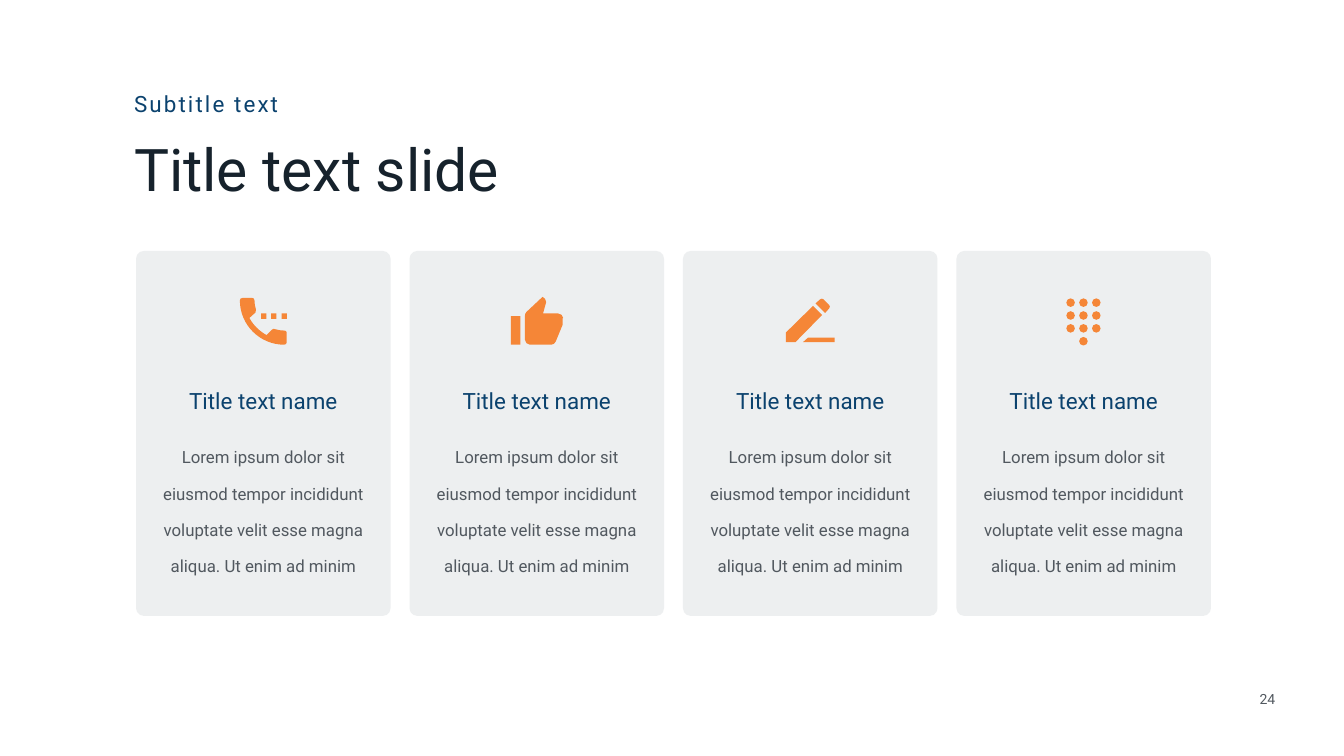
from lxml import etree
from pptx import Presentation
from pptx.dml.color import RGBColor
from pptx.enum import shapes, text
from pptx.oxml.ns import qn
from pptx.util import Inches, Pt

FONT = "Roboto"
NAVY, INK, GRAY, ORANGE, PANEL = "0B426E", "16222C", "51585F", "F58637", "DBDEE1"
PANEL_OPACITY = 48
SUBTITLE = "Subtitle text"
TITLE = "Title text slide"
PAGE_NUMBER = "24"
CARD_TITLE = "Title text name"
CARD_BODY = ("Lorem ipsum dolor sit eiusmod tempor incididunt voluptate velit esse magna "
             "aliqua. Ut enim ad minim")
CARD_LEFT, LAST_CARD_LEFT, CARD_TOP = 2.7, 18.98, 4.98
CARD_WIDTH, CARD_HEIGHT = 5.05, 7.24


def rectangle(left, top, width, height):
    right, bottom = left + width, top + height
    return [(left, top), (right, top), (right, bottom), (left, bottom)]


def circle(x, y, radius):
    bend = 0.55 * radius
    left, top, right, bottom = x - radius, y - radius, x + radius, y + radius
    return [(x, top), (x - bend, top, left, y - bend, left, y),
            (left, y + bend, x - bend, bottom, x, bottom),
            (x + bend, bottom, right, y + bend, right, y),
            (right, y - bend, x + bend, top, x, top)]


HANDSET = [(88, 65), (82, 65, 76, 64, 69, 62), (68, 60, 66, 62, 64, 63), (53, 74),
           (39, 66, 27, 55, 19, 40), (31, 29), (32, 27, 33, 25, 32, 23),
           (30, 18, 29, 11, 29, 5), (29, 2, 27, 0, 24, 0), (6, 0), (2, 0, 0, 2, 0, 5),
           (0, 54, 40, 93, 88, 93), (91, 93, 93, 91, 93, 88), (93, 69),
           (93, 66, 91, 65, 88, 65)]
HAND = [(104, 42), (104, 37, 99, 33, 94, 33), (64, 33), (70, 11), (70, 10),
        (70, 8, 69, 6, 68, 4), (63, 0), (31, 30), (29, 32, 28, 35, 28, 38), (28, 85),
        (28, 90, 33, 95, 38, 95), (80, 95), (84, 95, 88, 92, 89, 89), (103, 55),
        (103, 54, 103, 53, 103, 51), (103, 42)]
PENCIL_BODY = [(0, 67), (0, 86), (19, 86), (72, 32), (54, 14)]
PENCIL_END = [(86, 19), (88, 17, 88, 14, 86, 12), (75, 1), (73, -1, 70, -1, 68, 1),
              (59, 9), (78, 28)]
PENCIL_STROKE = [(44, 77), (34, 86), (97, 86), (97, 77)]
KEYS = [(column, row) for row in range(3) for column in range(3)] + [(1, 3)]

ICONS = [
    (2.06, 0.93, [HANDSET] + [rectangle(x, 31, 10.5, 11) for x in (42, 62, 83)]),
    (2.01, 0.91, [rectangle(0, 38, 19, 57), HAND]),
    (2.04, 0.95, [PENCIL_BODY, PENCIL_END, PENCIL_STROKE]),
    (2.18, 0.94, [circle(8.5 + 25.5 * x, 8.5 + 25.5 * y, 8.5) for x, y in KEYS]),
]


def color(value):
    return RGBColor.from_string(value)


def paint(shape, fill):
    shape.shadow.inherit = False
    shape.fill.solid()
    shape.fill.fore_color.rgb = color(fill)
    shape.line.fill.background()


def add_text(parent, box, content, size, fill, align=text.PP_ALIGN.LEFT, inset=(0.04, 0.04),
             grow=False, middle=False, line_spacing=None, tracking=None):
    frame = parent.add_textbox(*map(Inches, box)).text_frame
    frame.word_wrap = True
    frame.auto_size = text.MSO_AUTO_SIZE.SHAPE_TO_FIT_TEXT if grow else text.MSO_AUTO_SIZE.NONE
    frame.vertical_anchor = text.MSO_ANCHOR.MIDDLE if middle else text.MSO_ANCHOR.TOP
    frame.margin_left = frame.margin_right = Inches(inset[0])
    frame.margin_top = frame.margin_bottom = Inches(inset[1])
    paragraph = frame.paragraphs[0]
    paragraph.alignment = align
    paragraph.line_spacing = line_spacing
    run = paragraph.add_run()
    run.text = content
    run.font.name, run.font.size = FONT, Pt(size)
    run.font.color.rgb = color(fill)
    if tracking:
        run.font._element.set("spc", str(tracking * 100))


def add_panel(parent, left):
    panel = parent.add_shape(shapes.MSO_SHAPE.ROUNDED_RECTANGLE, Inches(left), Inches(CARD_TOP),
                             Inches(CARD_WIDTH), Inches(CARD_HEIGHT))
    panel.adjustments[0] = 0.03
    paint(panel, PANEL)
    panel_color = panel._element.spPr.find(qn("a:solidFill"))[0]
    etree.SubElement(panel_color, qn("a:alpha"), val=str(PANEL_OPACITY * 1000))


def add_icon(parent, left, top, outlines):
    outlines = [[tuple(round(10 * value) for value in segment) for segment in outline]
                for outline in outlines]
    ends = [[segment[-2:] for segment in outline] for outline in outlines]
    builder = parent.build_freeform(*ends[0][0], scale=Inches(1) / 1000)
    for index, points in enumerate(ends):
        if index:
            builder.move_to(*points[0])
        builder.add_line_segments(points[1:], close=True)
    icon = builder.convert_to_shape(Inches(left), Inches(top))
    paint(icon, ORANGE)
    min_x = min(x for points in ends for x, y in points)
    min_y = min(y for points in ends for x, y in points)
    segments = [segment for outline in outlines for segment in outline[1:]]
    lines = list(icon._element.iter(qn("a:lnTo")))
    for line, segment in zip(lines, segments):
        if len(segment) == 6:
            line.tag = qn("a:cubicBezTo")
            for position, (x, y) in enumerate((segment[:2], segment[2:4])):
                point = etree.Element(qn("a:pt"), x=str(x - min_x), y=str(y - min_y))
                line.insert(position, point)


def add_card(slide, index, icon):
    card = slide.shapes.add_group_shape().shapes
    left = CARD_LEFT + index * (LAST_CARD_LEFT - CARD_LEFT) / (len(ICONS) - 1)
    icon_x, icon_y, outlines = icon
    add_panel(card, left)
    add_icon(card, left + icon_x, CARD_TOP + icon_y, outlines)
    add_text(card, (left, 7.65, CARD_WIDTH, 0.59), CARD_TITLE, 32, NAVY, text.PP_ALIGN.CENTER)
    add_text(card, (left + 0.38, 8.5, CARD_WIDTH - 0.76, 3.01), CARD_BODY, 24, GRAY,
             text.PP_ALIGN.CENTER, inset=(0.1, 0.05), grow=True, line_spacing=1.8)


def main():
    presentation = Presentation()
    presentation.slide_width, presentation.slide_height = Inches(26.67), Inches(15)
    slide = presentation.slides.add_slide(presentation.slide_layouts[6])
    add_text(slide.shapes, (24.66, 13.66, 0.98, 0.42), PAGE_NUMBER, 20, GRAY,
             text.PP_ALIGN.CENTER, grow=True)
    add_text(slide.shapes, (2.62, 2.59, 10.47, 1.73), TITLE, 84, INK)
    add_text(slide.shapes, (2.62, 1.75, 6.12, 0.62), SUBTITLE, 32, NAVY,
             grow=True, middle=True, tracking=3)
    for index, icon in enumerate(ICONS):
        add_card(slide, index, icon)
    presentation.save("out.pptx")


if __name__ == "__main__":
    main()
